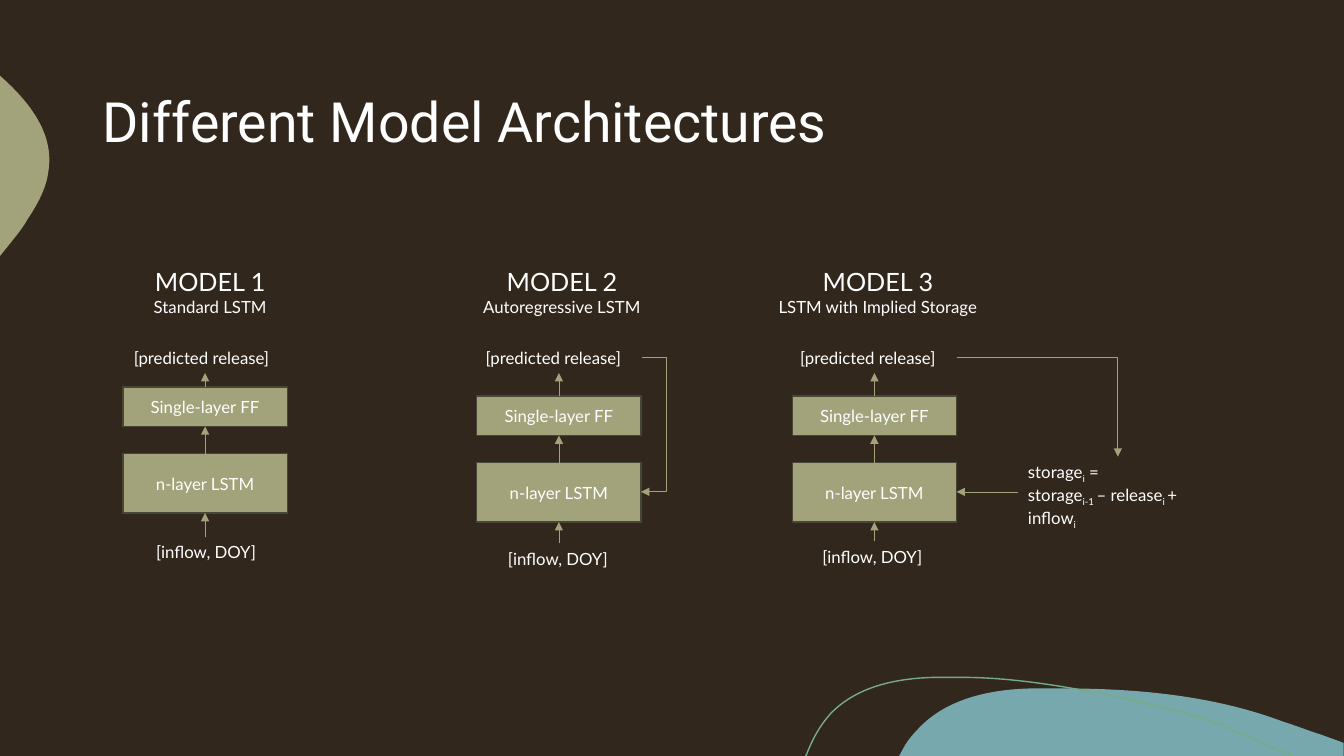
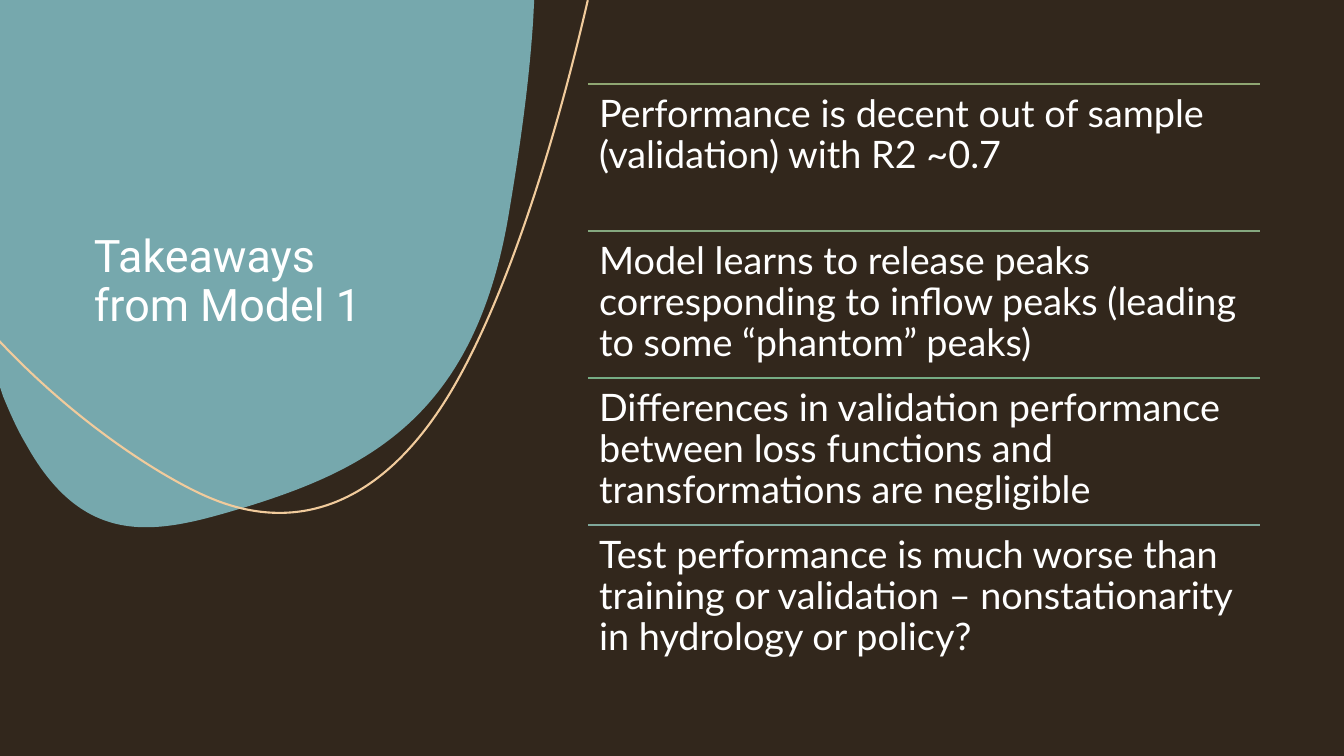
"""Build two slides on reservoir models: their layouts and the takeaways."""
from lxml import etree
from pptx import Presentation
from pptx import util as u
from pptx.dml.color import RGBColor
from pptx.enum import shapes, text
from pptx.oxml import ns

HUES = {
    "ground": "32271C", "sage": "A2A37B", "edge": "474736", "teal": "76A8AD",
    "green": "76AC84", "peach": "F1CB9C", "white": "FFFFFF",
    "rule1": "8FA672", "rule2": "85A87F", "rule3": "76AC84", "rule4": "7FA79A",
}
UNIT = 7.5 / 9
WAVE = [
    (10.54, 6.83), (11.28, 6.83, 12.04, 6.9, 12.73, 7.16),
    (12.86, 7.2, 12.98, 7.25, 13.11, 7.29), (13.33, 7.37), (13.33, 7.5),
    (8.92, 7.5), (8.98, 7.39), (9.02, 7.33, 9.06, 7.28, 9.11, 7.23),
    (9.39, 6.93, 9.82, 6.84, 10.23, 6.83), (10.33, 6.83, 10.43, 6.83, 10.54, 6.83),
]
BUMP = [
    (0, 0.75), (0.01, 0.76), (0.3, 1.02, 0.54, 1.33, 0.48, 1.7),
    (0.46, 1.87, 0.37, 2.03, 0.27, 2.18), (0.24, 2.24, 0.17, 2.33, 0.08, 2.44),
    (0, 2.54),
]
CREST = [
    (7.99, 7.5), (8, 7.49), (8.06, 7.33, 8.14, 7.19, 8.24, 7.08),
    (8.5, 6.81, 8.89, 6.73, 9.26, 6.72), (9.55, 6.72),
    (10.22, 6.72, 11, 6.89, 11.55, 7.02), (12.09, 7.15, 12.26, 7.27, 12.83, 7.5),
]
BLOB = [
    (5.3, 0), (5.29, 0.2), (5.25, 0.82, 5.16, 1.46, 5.05, 2.11),
    (4.72, 4.11, 3.67, 4.65, 2.44, 5.03), (1.61, 5.28, 0.86, 5.49, 0.26, 4.41),
    (0.17, 4.26, 0.1, 4.1, 0.03, 3.93), (0, 3.84), (0, 0),
]
SWOOP = [
    (5.83, 0), (5.83, 0.01), (5.47, 1.57, 5.01, 2.93, 4.54, 3.77),
    (3.83, 5.04, 2.94, 5.29, 2.11, 4.95), (1.73, 4.8, 0.84, 4.28, 0, 3.39), (0, 3.38),
]
MODELS = [
    ("MODEL 1", "Standard LSTM", 1.39, 1.39, 1.22, 3.84, 1.23, 5.33),
    ("MODEL 2", "Autoregressive LSTM", 4.66, 1.83, 4.73, 3.93, 4.72, 5.39),
    ("MODEL 3", "LSTM with Implied Storage", 7.58, 2.26, 7.86, 3.93, 7.84, 5.37),
]
POINTS = [
    "Performance is decent out of sample (validation) with R2 ~0.7",
    "Model learns to release peaks corresponding to inflow peaks (leading to some “phantom” peaks)",
    "Differences in validation performance between loss functions and transformations are negligible",
    "Test performance is much worse than training or validation – nonstationarity in hydrology or policy?",
]


def cm(inch):
    return u.Cm(inch * 2.54)


def hue(name):
    return RGBColor.from_string(HUES[name])


def write(frame, words, size=12, font="Lato", low=None, align="LEFT", space=None):
    para = frame.paragraphs[0]
    if para.runs:
        para = frame.add_paragraph()
    para.alignment = getattr(text.PP_ALIGN, align)
    if space:
        para.line_spacing = space
    for turn, part in enumerate(words.split("|")):
        if not part:
            continue
        run = para.add_run()
        run.text = part
        run.font.size = u.Pt(size)
        run.font.name = font
        run.font.color.rgb = hue("white")
        if turn % 2:
            run.font.name = low or font
            run.font._element.set("baseline", "-25000")


class Deck:
    def __init__(self):
        self.show = Presentation()
        self.show.slide_width, self.show.slide_height = cm(16 * UNIT), cm(9 * UNIT)
        self.slide = None

    def page(self):
        self.slide = self.show.slides.add_slide(self.show.slide_layouts[6])
        fill = self.slide.background.fill
        fill.solid()
        fill.fore_color.rgb = hue("ground")
        self.curve(WAVE, (8.92, 6.83, 4.41, 0.67), fill="teal")
        self.curve(BUMP, (0, 0.75, 0.49, 1.79), fill="sage")
        self.curve(CREST, (7.99, 6.72, 4.84, 0.78), edge="green")

    def paint(self, shape, fill=None, edge=None, width=1):
        shape.shadow.inherit = False
        if fill:
            shape.fill.solid()
            shape.fill.fore_color.rgb = hue(fill)
        else:
            shape.fill.background()
        if edge:
            shape.line.color.rgb = hue(edge)
            shape.line.width = u.Pt(width)
        else:
            shape.line.fill.background()

    def curve(self, route, frame, **look):
        spots = [(cm(leg[-2]), cm(leg[-1])) for leg in route]
        pen = self.slide.shapes.build_freeform(*spots[0], scale=1.0)
        pen.add_line_segments(spots[1:], close="fill" in look)
        shape = pen.convert_to_shape()
        left, top, wide, high = map(cm, frame)
        shape.left, shape.top, shape.width, shape.height = left, top, wide, high
        trail = shape._element.spPr.find(".//" + ns.qn("a:path"))
        trail.set("w", str(wide))
        trail.set("h", str(high))
        for leg, node in zip(route, list(trail)):
            for old in list(node):
                node.remove(old)
            if len(leg) == 6:
                bend = etree.Element(ns.qn("a:cubicBezTo"))
                trail.replace(node, bend)
                node = bend
            for x, y in zip(leg[::2], leg[1::2]):
                etree.SubElement(node, ns.qn("a:pt"),
                                 x=str(cm(x) - left), y=str(cm(y) - top))
        self.paint(shape, **look)

    def label(self, x, y, wide, high, words=None, anchor="TOP", inset=None, foot=None, **form):
        frame = self.slide.shapes.add_textbox(cm(x), cm(y), cm(wide), cm(high)).text_frame
        frame.word_wrap = True
        frame.vertical_anchor = getattr(text.MSO_ANCHOR, anchor)
        if inset:
            frame.margin_left = frame.margin_right = cm(inset)
            frame.margin_top = frame.margin_bottom = cm(inset)
        if foot:
            frame.margin_bottom = cm(foot)
        if words:
            write(frame, words, **form)
        return frame

    def title(self, x, y, wide, high, words, **form):
        self.label(x, y, wide, high, words, font="Roboto", space=0.9, **form)

    def block(self, x, y, wide, high, words=None, fill="sage", edge="edge"):
        box = self.slide.shapes.add_shape(
            shapes.MSO_SHAPE.RECTANGLE, cm(x), cm(y), cm(wide), cm(high))
        self.paint(box, fill, edge)
        if words:
            box.text_frame.vertical_anchor = text.MSO_ANCHOR.MIDDLE
            write(box.text_frame, words, align="CENTER")

    def line(self, start, end, color="sage", width=0.5, arrow=True, bend=None, shift=None):
        kind = shapes.MSO_CONNECTOR.ELBOW if bend else shapes.MSO_CONNECTOR.STRAIGHT
        link = self.slide.shapes.add_connector(kind, *map(cm, start + end))
        link.line.color.rgb = hue(color)
        link.line.width = u.Pt(width)
        props = link._element.spPr
        if arrow:
            etree.SubElement(props.find(ns.qn("a:ln")), ns.qn("a:tailEnd"), type="triangle")
        etree.SubElement(props, ns.qn("a:effectLst"))
        if bend:
            shape = props.find(ns.qn("a:prstGeom"))
            shape.set("prst", bend)
            if shift is not None:
                guides = shape.find(ns.qn("a:avLst"))
                etree.SubElement(guides, ns.qn("a:gd"), name="adj1", fmla=f"val {shift}")


def model(deck, name, kind, start, span, left, top, side, base):
    wide = 1.63
    mid = left + wide / 2
    core = top + 0.66
    deck.block(left, core, wide, 0.59, "n-layer LSTM")
    deck.block(left, top, wide, 0.39, "Single-layer FF")
    for tail, tip in ((core, top + 0.39), (top, 3.7), (base, core + 0.59)):
        deck.line((mid, tail), (mid, tip))
    deck.label(side, 3.4, 1.65, 0.3, "[predicted release]")
    deck.label(side + 0.22, base, 1.21, 0.3, "[inflow, DOY]")
    head = deck.label(start, 2.59, span, 0.61)
    write(head, name, size=18, align="CENTER")
    write(head, kind, align="CENTER")


def layouts(deck):
    deck.page()
    deck.title(0.92, 0.87, 11.67, 1.39, "Different Model Architectures",
               size=39.6, anchor="MIDDLE", foot=0.71)
    for item in MODELS:
        model(deck, *item)
    deck.line((6.37, 3.55), (6.36, 4.88), bend="bentConnector3", shift=-2500000)
    deck.line((9.49, 3.55), (11.09, 4.53), bend="bentConnector2")
    store = deck.label(10.1, 4.53, 1.98, 0.71)
    write(store, "storage|i| =", low="Roboto")
    write(store, "storage|i-1 |– release|i |+ inflow|i")
    deck.line((10.1, 4.88), (9.49, 4.88))


def lessons(deck):
    deck.page()
    deck.block(0, 0, 16 * UNIT, 9 * UNIT, fill="ground", edge=None)
    deck.curve(BLOB, (0, 0, 5.3, 5.23), fill="teal")
    deck.curve(SWOOP, (0, 0, 5.83, 5.09), edge="peach", width=1.5)
    deck.title(UNIT, UNIT, 4 * UNIT, 3 * UNIT, "Takeaways from Model 1",
               size=32, anchor="BOTTOM")
    left, wide, high = 7 * UNIT, 8 * UNIT, 7 * UNIT / 4
    for row, words in enumerate(POINTS):
        top = UNIT + high * row
        deck.line((left, top), (left + wide, top), f"rule{row + 1}", 1, arrow=False)
        deck.label(left, top, wide, high, words, inset=0.11, size=27, space=0.9)


def main():
    deck = Deck()
    layouts(deck)
    lessons(deck)
    deck.show.save("out.pptx")


if __name__ == "__main__":
    main()
